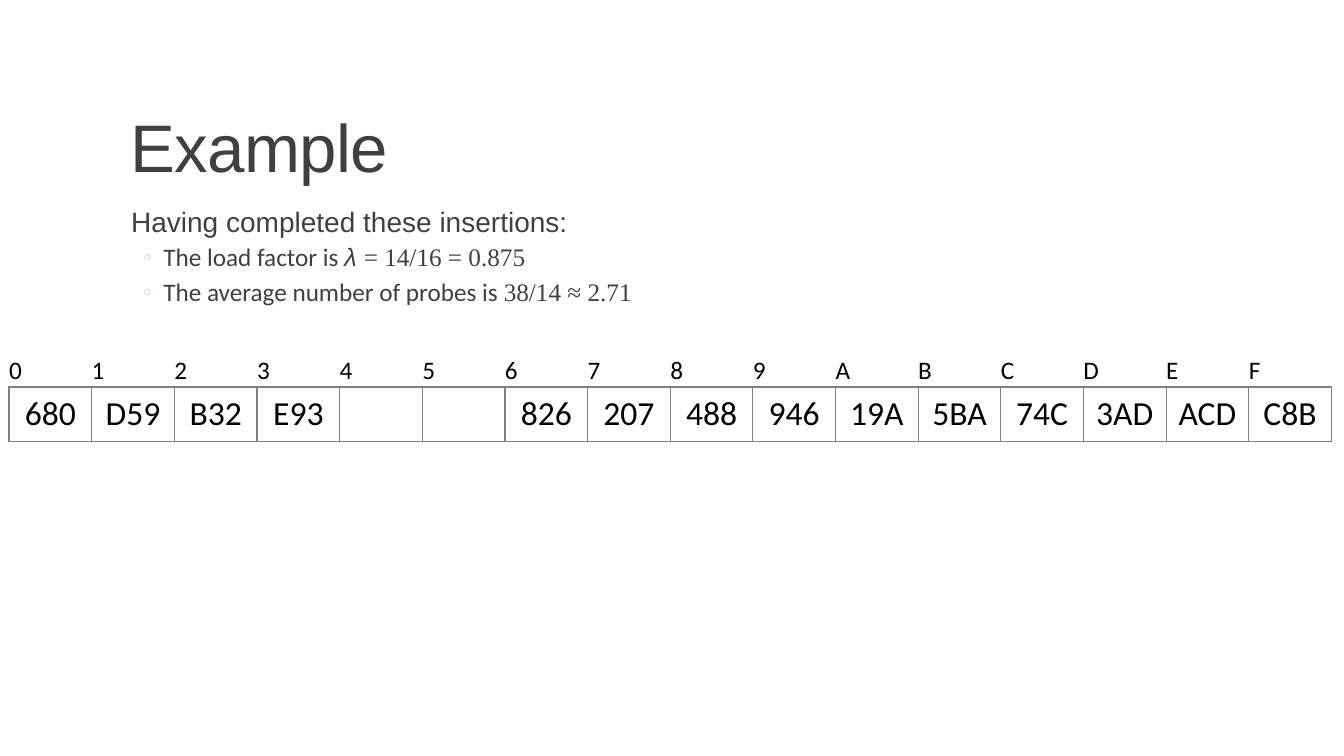
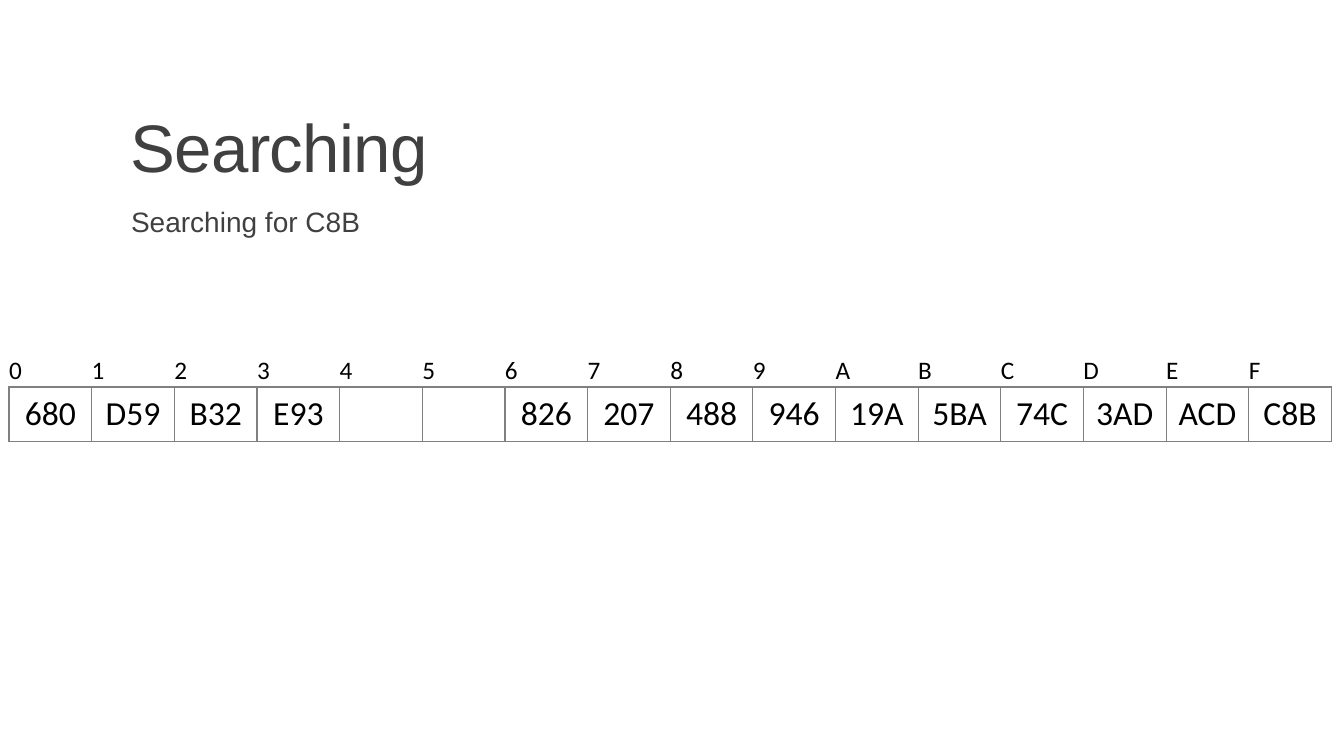
from lxml import etree
from pptx import Presentation
from pptx.dml.color import RGBColor
from pptx.enum import text
from pptx.oxml.ns import qn
from pptx.util import Inches, Pt

INK = RGBColor(0x40, 0x40, 0x40)
BLACK = RGBColor(0, 0, 0)
GRID = RGBColor(0x80, 0x80, 0x80)
PINK = RGBColor(0xF2, 0xDC, 0xDB)
SANS, BODY, MATH = "Arial", "Calibri", "Times New Roman"

BINS = "0123456789ABCDEF"
KEYS = ["680", "D59", "B32", "E93", "", "", "826", "207",
        "488", "946", "19A", "5BA", "74C", "3AD", "ACD", "C8B"]


def tint(parent, color):
    etree.SubElement(parent, qn("a:srgbClr"), val=str(color))


class Deck:
    def __init__(self):
        self.prs = Presentation()
        self.prs.slide_width = Inches(13.33)
        self.prs.slide_height = Inches(7.5)
        self.slide = None

    def start(self, title):
        """Add a slide with its title."""
        self.slide = self.prs.slides.add_slide(self.prs.slide_layouts[6])
        frame = self.box(0.31, 1.59)
        frame.vertical_anchor = text.MSO_ANCHOR.BOTTOM
        para = frame.paragraphs[0]
        para.line_spacing = 0.85
        run = self.run(para, title, 48, SANS)
        run._r.get_or_add_rPr().set("spc", "-50")

    def box(self, top, height):
        frame = self.slide.shapes.add_textbox(
            Inches(1.2), Inches(top), Inches(11), Inches(height)).text_frame
        frame.word_wrap = True
        return frame

    def run(self, para, words, size, face, color=INK, italic=False):
        run = para.add_run()
        run.text = words
        font = run.font
        font.size, font.name, font.italic = Pt(size), face, italic
        font.color.rgb = color
        return run

    def body(self, lead, points=()):
        """Write a lead line, then bullets given as lists of (words, face, italic)."""
        frame = self.box(2.02, 4.4)
        frame.margin_left = frame.margin_right = 0
        para = frame.paragraphs[0]
        para._p.get_or_add_pPr().set("marL", str(Inches(0.1)))
        para.line_spacing, para.space_after = 0.9, Pt(2)
        self.run(para, lead, 20, SANS)
        for parts in points:
            para = frame.add_paragraph()
            self.bullet(para)
            para.line_spacing = 0.9
            para.space_before, para.space_after = Pt(2), Pt(4)
            for words, face, italic in parts:
                self.run(para, words, 18, face, italic=italic)

    def bullet(self, para):
        props = para._p.get_or_add_pPr()
        props.set("marL", str(Inches(0.42)))
        props.set("indent", str(Inches(-0.2)))
        tint(etree.SubElement(props, qn("a:buClr")), PINK)
        etree.SubElement(props, qn("a:buFont"), typeface=BODY)
        etree.SubElement(props, qn("a:buChar"), char="◦")

    def table(self):
        """Draw the hash table: bin labels above a row of keys."""
        wide, rows = 0.82, (0.33, 0.54)
        table = self.slide.shapes.add_table(
            2, len(BINS), Inches(0.09), Inches(3.51),
            Inches(wide * len(BINS)), Inches(sum(rows))).table
        table.first_row = table.horz_banding = False
        for row, height in zip(table.rows, rows):
            row.height = Inches(height)
        for col, (label, key) in enumerate(zip(BINS, KEYS)):
            table.columns[col].width = Inches(wide)
            self.cell(table.cell(0, col), label, 18, "B", text.PP_ALIGN.LEFT)
            self.cell(table.cell(1, col), key, 24, "LRTB", text.PP_ALIGN.CENTER)

    def cell(self, cell, words, size, sides, align):
        cell.margin_left = cell.margin_right = 0
        cell.margin_top = cell.margin_bottom = 0
        cell.vertical_anchor = text.MSO_ANCHOR.MIDDLE
        props = cell._tc.get_or_add_tcPr()
        for side in "LRTB":
            line = etree.SubElement(props, qn("a:ln" + side), w=str(Pt(1)))
            if side in sides:
                tint(etree.SubElement(line, qn("a:solidFill")), GRID)
            else:
                etree.SubElement(line, qn("a:noFill"))
        cell.fill.background()
        para = cell.text_frame.paragraphs[0]
        para.alignment = align
        if words:
            self.run(para, words, size, BODY, BLACK)


def main():
    deck = Deck()
    deck.start("Example")
    deck.body("Having completed these insertions:", [
        [("The load factor is ", BODY, False), ("λ ", SANS, True),
         ("= 14/16 = 0.875", MATH, False)],
        [("The average number of probes is ", BODY, False),
         ("38/14 ≈ 2.71", MATH, False)],
    ])
    deck.table()

    deck.start("Searching")
    deck.body("Searching for C8B")
    deck.table()
    deck.prs.save("out.pptx")


if __name__ == "__main__":
    main()
